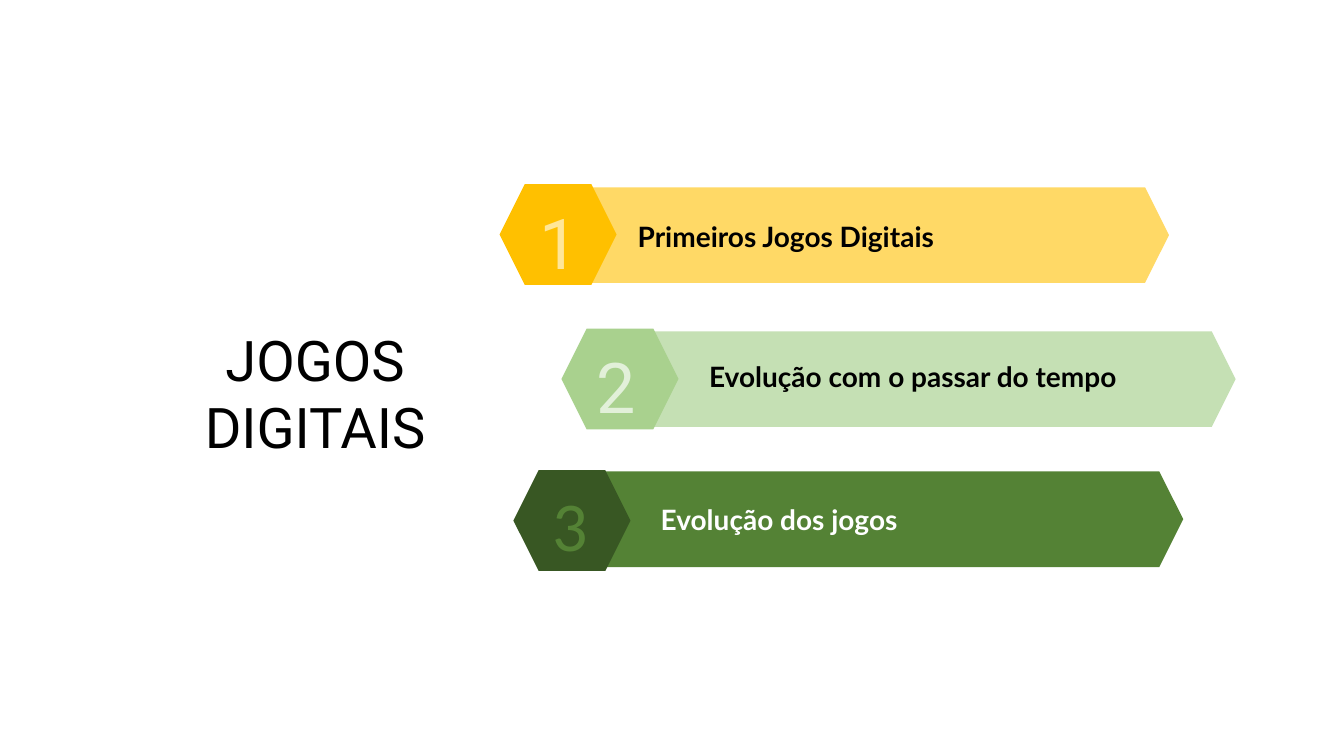
from dataclasses import dataclass

from pptx import Presentation
from pptx.dml.color import RGBColor as Rgb
from pptx.enum.shapes import MSO_SHAPE as Geo
from pptx.enum.text import MSO_ANCHOR as Anchor, MSO_AUTO_SIZE as Fit, PP_ALIGN as Align
from pptx.util import Cm, Pt


@dataclass(frozen=True)
class Theme:
    black: str = "000000"
    white: str = "FFFFFF"
    gold: tuple = ("FFD966", "FFC000", "FFE699")  # bar, badge, number
    light: tuple = ("C5E0B4", "A9D18E", "E2F0D9")
    dark: tuple = ("548235", "385723", "548235")
    head: str = "Roboto"
    body: str = "Lato"
    alt: str = "Calibri"
    title: int = 40
    label: int = 20
    number: int = 50


@dataclass(frozen=True)
class Item:
    number: str
    text: str
    tones: tuple
    ink: str
    font: str
    box: tuple    # badge left, top
    bar: tuple    # offset from the badge
    digit: tuple  # offset from the badge
    label: tuple  # offset from the badge, then width


THEME = Theme()
BADGE = (2.95, 2.54)
BAR = (16.79, 2.41)
DIGIT = (1.7, 2.39)
LABEL = 1.12

ITEMS = [
    Item("1", "Primeiros Jogos Digitais", THEME.gold, THEME.black, THEME.head,
         (12.59, 4.64), (0.08, 0.08), (0.65, 0.26), (3.23, 0.77, 10.77)),
    Item("2", "Evolução com o passar do tempo", THEME.light, THEME.black, THEME.head,
         (14.15, 8.28), (0.2, 0.07), (0.53, 0.25), (3.47, 0.66, 11.84)),
    Item("3", "Evolução dos jogos", THEME.dark, THEME.white, THEME.alt,
         (12.94, 11.85), (0.09, 0.03), (0.57, 0.16), (3.46, 0.69, 12.12)),
]


def style(para, font, size, color, align, bold=False):
    para.alignment = align
    para.font.name = font
    para.font.size = Pt(size)
    para.font.bold = bold
    para.font.color.rgb = Rgb.from_string(color)


def add_hex(slide, left, top, width, height, color):
    shape = slide.shapes.add_shape(Geo.HEXAGON, Cm(left), Cm(top), Cm(width), Cm(height))
    shape.shadow.inherit = False
    shape.fill.solid()
    shape.fill.fore_color.rgb = Rgb.from_string(color)
    shape.line.fill.background()


def add_text(slide, left, top, width, height, text, *look):
    box = slide.shapes.add_textbox(Cm(left), Cm(top), Cm(width), Cm(height))
    frame = box.text_frame
    frame.word_wrap = True
    frame.auto_size = Fit.SHAPE_TO_FIT_TEXT
    frame.text = text
    style(frame.paragraphs[0], *look)


def add_title(slide, left, top, width, height):
    title = slide.shapes.title
    title.left, title.top = Cm(left), Cm(top)
    title.width, title.height = Cm(width), Cm(height)
    frame = title.text_frame
    frame.word_wrap = True
    frame.auto_size = Fit.NONE
    frame.vertical_anchor = Anchor.TOP
    frame.text = "JOGOS\nDIGITAIS"
    for para in frame.paragraphs:
        para.line_spacing = 1.0
        para.space_before = Pt(0)
        style(para, THEME.head, THEME.title, THEME.black, Align.CENTER)


def add_item(slide, item):
    left, top = item.box
    bar, badge, digit = item.tones

    def shift(gap):
        return left + gap[0], top + gap[1]

    # Bar and badge
    add_hex(slide, *shift(item.bar), *BAR, bar)
    add_hex(slide, left, top, *BADGE, badge)

    # Number and label
    add_text(slide, *shift(item.digit), *DIGIT, item.number,
             item.font, THEME.number, digit, Align.CENTER)
    add_text(slide, *shift(item.label), item.label[2], LABEL, item.text,
             THEME.body, THEME.label, item.ink, Align.LEFT, True)


def main():
    deck = Presentation()
    deck.slide_width, deck.slide_height = Cm(33.87), Cm(19.05)
    slide = deck.slides.add_slide(deck.slide_layouts[5])
    add_title(slide, 4.13, 8.07, 7.62, 3.68)
    for item in ITEMS:
        add_item(slide, item)
    deck.save("out.pptx")


if __name__ == "__main__":
    main()
